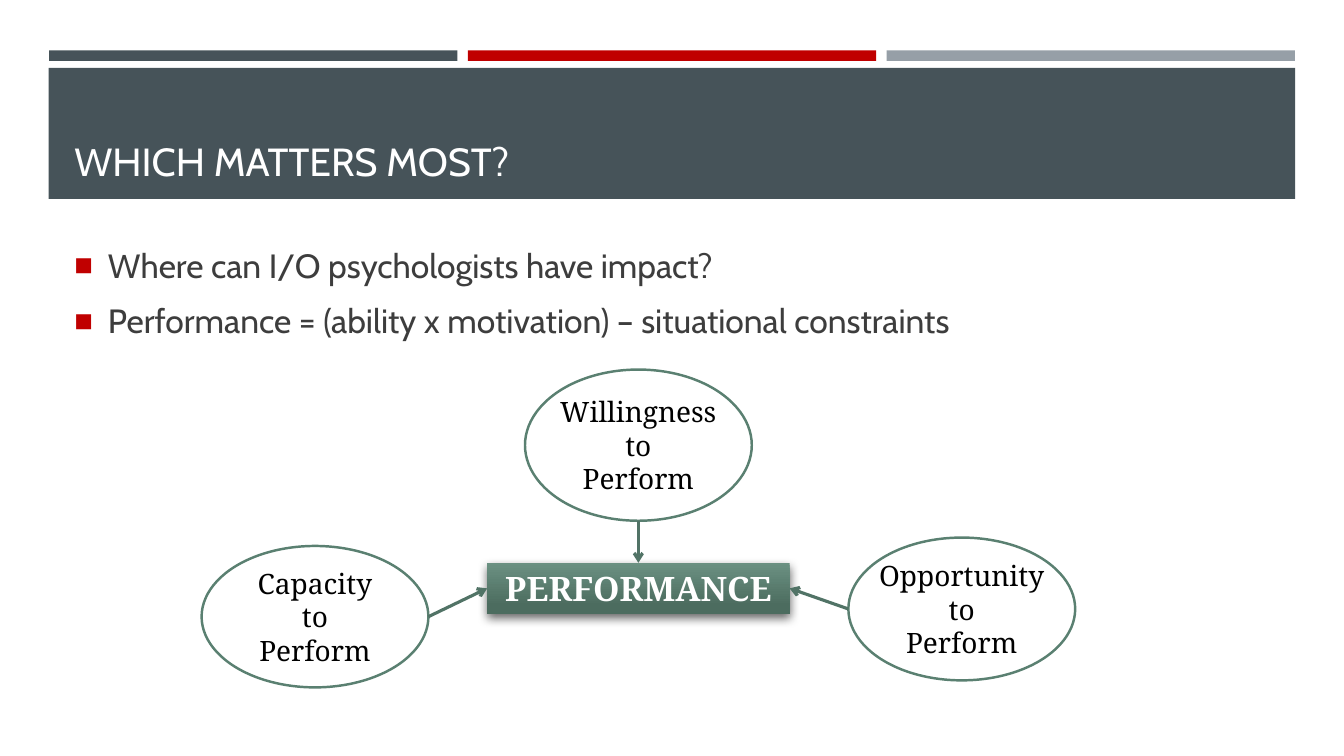
from lxml.etree import SubElement
from pptx import Presentation
from pptx.dml.color import RGBColor
from pptx.enum.shapes import MSO_CONNECTOR, MSO_SHAPE
from pptx.enum.text import MSO_ANCHOR, MSO_AUTO_SIZE, PP_ALIGN
from pptx.oxml.ns import qn
from pptx.util import Pt

COLORS = {
    "slate": "465359", "red": "C00000", "gray": "969FA7", "white": "FFFFFF",
    "black": "000000", "body": "3D3D3D", "outline": "5A8071",
    "arrow": "517366", "green_light": "6B9182", "green_dark": "4C6C5F",
}
SANS, SERIF = "Cabin", "Noto Serif"


def rgb(name):
    return RGBColor.from_string(COLORS[name])


def add_xml(parent, tag, **attributes):
    return SubElement(parent, qn(tag), attributes)


def add_span(para, text, font, size, color, bold=False):
    span = para.add_run()
    span.text = text
    span.font.name = font
    span.font.size = Pt(size)
    span.font.color.rgb = rgb(color)
    span.font.bold = bold


def add_box(page, kind, left, top, width, height, fill):
    box = page.shapes.add_shape(kind, Pt(left), Pt(top), Pt(width), Pt(height))
    box.shadow.inherit = False
    box.fill.solid()
    box.fill.fore_color.rgb = rgb(fill)
    box.line.fill.background()
    return box


def add_centered_lines(box, lines, size, color, bold=False):
    frame = box.text_frame
    frame.word_wrap = False
    frame.vertical_anchor = MSO_ANCHOR.MIDDLE
    for index, line in enumerate(lines):
        para = frame.add_paragraph() if index else frame.paragraphs[0]
        para.alignment = PP_ALIGN.CENTER
        add_span(para, line, SERIF, size, color, bold)


def set_title(page, text):
    title = page.shapes.title
    title.left, title.top, title.width, title.height = Pt(46), Pt(55.4), Pt(868.5), Pt(80)
    frame = title.text_frame
    frame.auto_size = MSO_AUTO_SIZE.NONE
    frame.vertical_anchor = MSO_ANCHOR.BOTTOM
    para = frame.paragraphs[0]
    para.alignment = PP_ALIGN.LEFT
    add_span(para, text, SANS, 28, "white")
    # Bring the title in front of the band
    page.shapes._spTree.append(title._element)


def add_bullets(page, lines):
    box = page.shapes.add_textbox(Pt(46), Pt(171.4), Pt(868.5), Pt(289.4))
    frame = box.text_frame
    frame.word_wrap = True
    for index, line in enumerate(lines):
        para = frame.add_paragraph() if index else frame.paragraphs[0]
        para.space_before, para.space_after = Pt(4.8), Pt(6)
        properties = para._p.get_or_add_pPr()
        properties.set("marL", str(Pt(24)))
        properties.set("indent", str(Pt(-24)))
        bullet_color = add_xml(properties, "a:buClr")
        add_xml(bullet_color, "a:srgbClr", val=COLORS["red"])
        add_xml(properties, "a:buSzPct", val="92000")
        add_xml(properties, "a:buFont", typeface="Arial")
        add_xml(properties, "a:buChar", char="■")
        add_span(para, line, SANS, 24, "body")


def add_factor(page, word, left, top, height):
    oval = add_box(page, MSO_SHAPE.OVAL, left, top, 162, height, "white")
    oval.line.color.rgb = rgb("outline")
    oval.line.width = Pt(1.75)
    add_centered_lines(oval, [word, "to", "Perform"], 20, "black")
    return oval


def add_performance(page):
    box = add_box(page, MSO_SHAPE.RECTANGLE, 348, 402, 216, 36.5, "green_dark")
    box.fill.gradient()
    box.fill.gradient_angle = 270
    for stop, position, color in zip(box.fill.gradient_stops, (0, 0.84),
                                     ("green_light", "green_dark")):
        stop.position = position
        stop.color.rgb = rgb(color)
    effects = box._element.spPr.find(qn("a:effectLst"))
    shadow = add_xml(effects, "a:outerShdw", blurRad=str(Pt(7)), dist=str(Pt(3)),
                     dir=str(84 * 60000), rotWithShape="0")
    shadow_color = add_xml(shadow, "a:srgbClr", val=COLORS["black"])
    add_xml(shadow_color, "a:alpha", val="60000")
    add_centered_lines(box, ["PERFORMANCE"], 24, "white", bold=True)
    return box


def add_arrow(page, start_x, start_y, target, side):
    arrow = page.shapes.add_connector(MSO_CONNECTOR.STRAIGHT, start_x, start_y,
                                      start_x, start_y)
    arrow.end_connect(target, side)
    arrow.line.color.rgb = rgb("arrow")
    arrow.line.width = Pt(2.25)
    add_xml(arrow.line._get_or_add_ln(), "a:tailEnd", type="arrow")
    add_xml(arrow._element.spPr, "a:effectLst")


def main():
    deck = Presentation()
    deck.slide_width, deck.slide_height = Pt(960), Pt(540)
    page = deck.slides.add_slide(deck.slide_layouts[5])

    # Header stripes, band and title
    for index, color in enumerate(("slate", "red", "gray")):
        add_box(page, MSO_SHAPE.RECTANGLE, 35.1 + index * 299.1, 36, 291.6, 7.5, color)
    add_box(page, MSO_SHAPE.RECTANGLE, 34.8, 48.5, 890.4, 93.6, "slate")
    set_title(page, "WHICH MATTERS MOST?")

    # Bullets
    add_bullets(page, ["Where can I/O psychologists have impact?",
                       "Performance = (ability x motivation) – situational constraints"])

    # Performance and its three factors
    performance = add_performance(page)
    willingness = add_factor(page, "Willingness", 375, 264, 108)
    capacity = add_factor(page, "Capacity", 144, 390, 101)
    opportunity = add_factor(page, "Opportunity", 606, 384, 102)

    # Arrows into the performance box
    add_arrow(page, capacity.left + capacity.width,
              capacity.top + capacity.height // 2, performance, 1)
    add_arrow(page, willingness.left + willingness.width // 2,
              willingness.top + willingness.height, performance, 0)
    add_arrow(page, opportunity.left,
              opportunity.top + opportunity.height // 2, performance, 3)

    deck.save("out.pptx")


if __name__ == "__main__":
    main()
